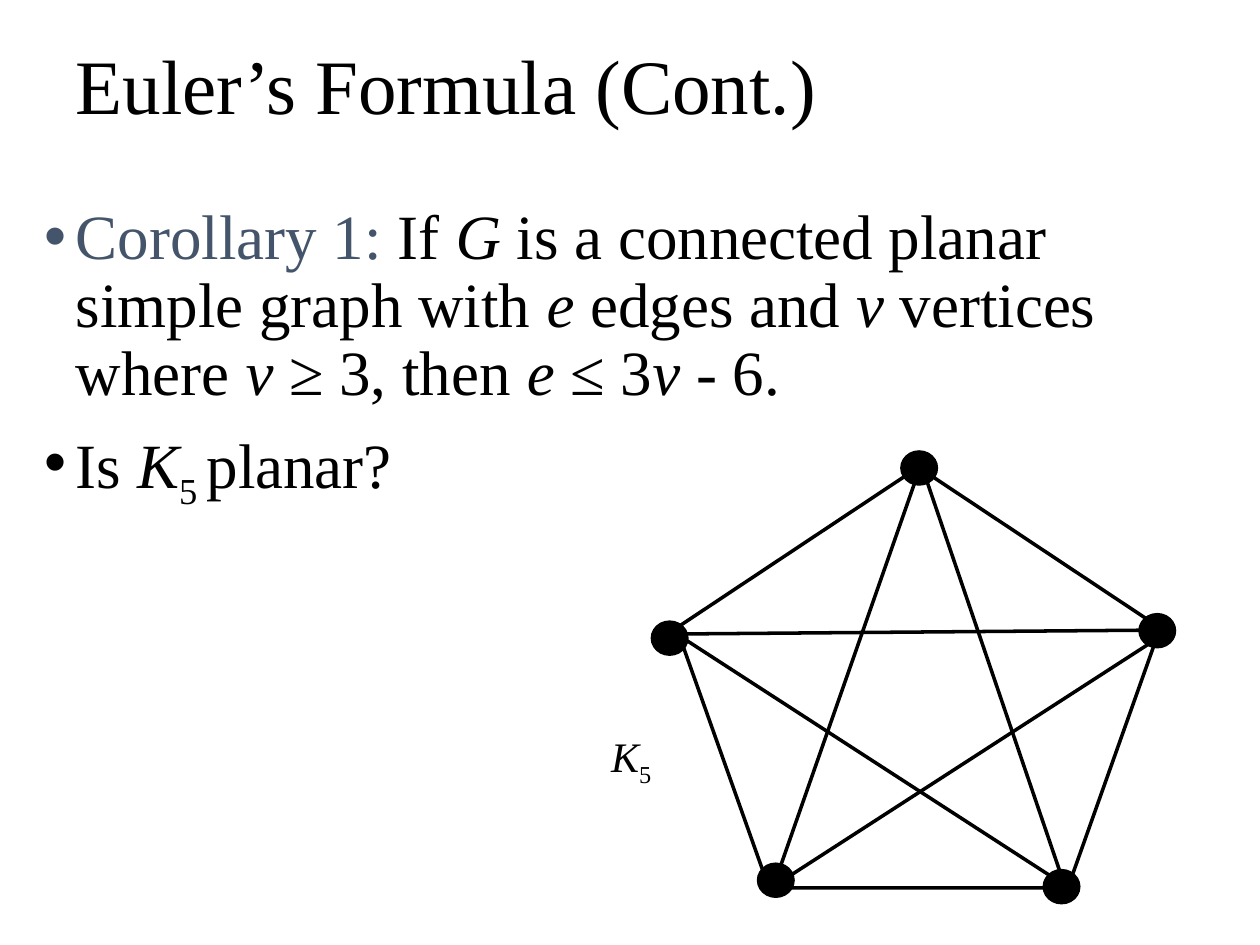
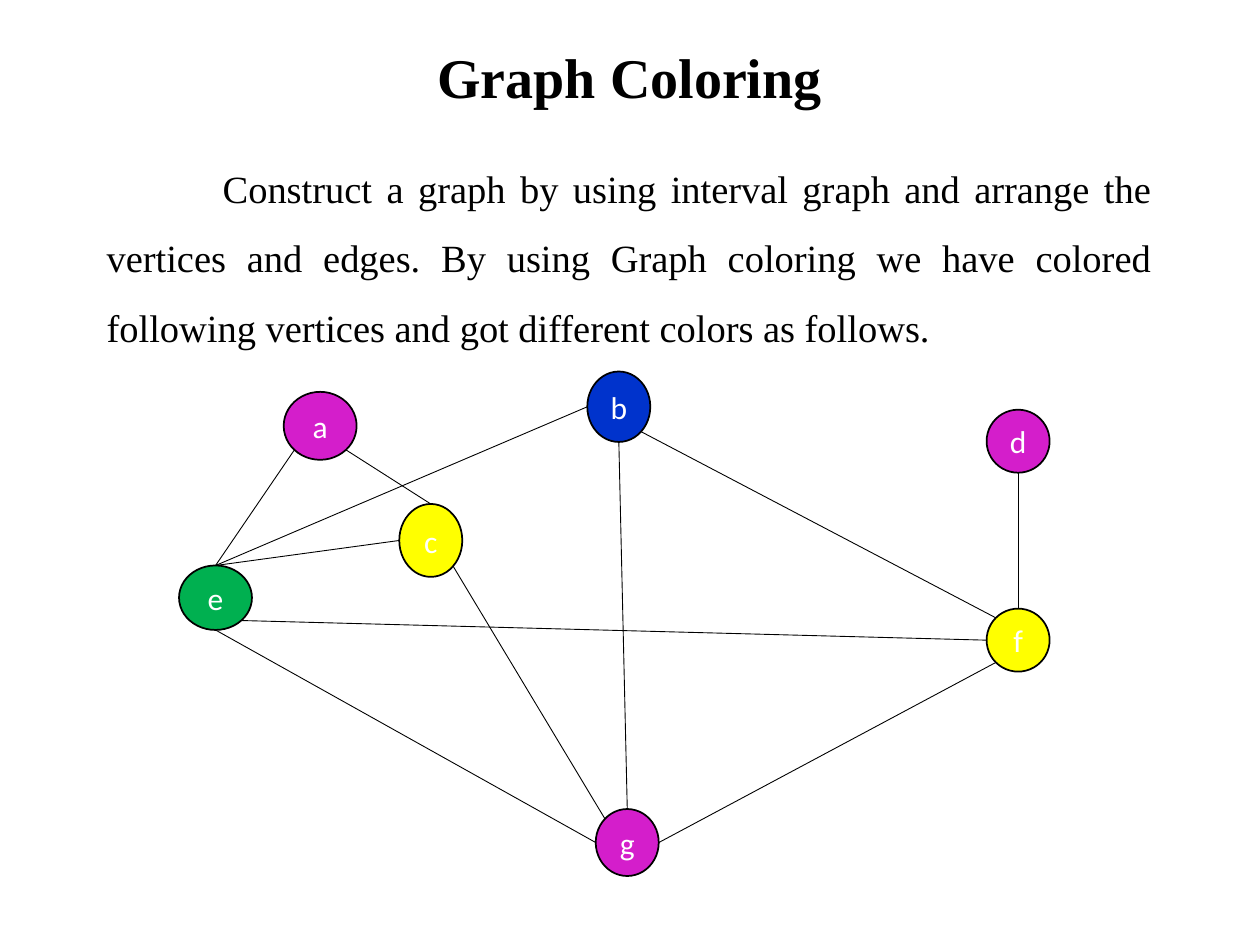
"""Build two slides on planar graphs and graph coloring."""
import math

import lxml.etree
import pptx
import pptx.dml.color
import pptx.enum.shapes
import pptx.enum.text
import pptx.oxml.ns
import pptx.util

Cm = pptx.util.Cm
Pt = pptx.util.Pt
SHAPE = pptx.enum.shapes.MSO_SHAPE
ALIGN = pptx.enum.text.PP_ALIGN
qn = pptx.oxml.ns.qn

COLORS = {
    "ink": "000000",
    "paper": "FFFFFF",
    "accent": "44546A",
    "magenta": "D41ECB",
    "green": "00B050",
    "yellow": "FFFF00",
    "blue": "0033CC",
}
SERIF = "Times New Roman"
SANS = "Calibri"
TITLE_ONLY = 5

K5_DOT_SIZE = (0.74, 0.69)
K5_DOTS = [(18.16, 9.09), (22.96, 12.37), (21.03, 17.53), (15.27, 17.4), (13.13, 12.52)]
K5_OUTLINE = (13.64, 9.42, 9.75, 8.48)
K5_DIAGONALS = [
    ((13.64, 12.78), (21.49, 17.86)),
    ((13.72, 12.78), (23.55, 12.7)),
    ((18.52, 9.5), (15.57, 17.93)),
    ((18.59, 9.42), (21.49, 17.93)),
    ((23.47, 12.78), (15.42, 17.98)),
]

COMPASS = ["E", "SE", "S", "SW", "W", "NW", "N", "NE"]
VERTICES = {
    "a": ((5.72, 7.9, 1.47, 1.37), "magenta"),
    "e": ((3.61, 11.4, 1.47, 1.3), "green"),
    "c": ((8.05, 10.16, 1.27, 1.47), "yellow"),
    "b": ((11.84, 7.49, 1.27, 1.42), "blue"),
    "g": ((12.01, 16.31, 1.27, 1.35), "magenta"),
    "d": ((19.89, 8.26, 1.27, 1.27), "magenta"),
    "f": ((19.89, 12.27, 1.27, 1.27), "yellow"),
}
EDGES = [
    ("a", "SW", "e", "N"),
    ("a", "SE", "c", "N"),
    ("e", "N", "c", "W"),
    ("e", "N", "b", "W"),
    ("e", "SE", "f", "W"),
    ("e", "S", "g", "W"),
    ("b", "S", "g", "N"),
    ("b", "SE", "f", "NW"),
    ("d", "S", "f", "N"),
    ("g", "E", "f", "SW"),
    ("c", "SE", "g", "NW"),
]

COROLLARY = [
    ("Corollary 1:", "accent"),
    (" If ", ""),
    ("G", "italic"),
    (" is a connected planar simple graph with ", ""),
    ("e", "italic"),
    (" edges and ", ""),
    ("v", "italic"),
    (" vertices where ", ""),
    ("v ", "italic"),
    ("≥ 3, then ", ""),
    ("e", "italic"),
    (" ≤ 3", ""),
    ("v", "italic"),
    (" - 6.", ""),
]
QUESTION = [("Is ", ""), ("K", "italic"), ("5 ", "subscript"), ("planar?", "")]
K5_NAME = [("K", "italic"), ("5", "subscript")]
COLORING_TEXT = (
    "Construct a graph by using interval graph and arrange the vertices and edges. "
    "By using Graph coloring we have colored following vertices and got different "
    "colors as follows."
)


def rgb(name):
    return pptx.dml.color.RGBColor.from_string(COLORS[name])


def style_font(font, size, face=SERIF, color="ink", bold=False):
    font.name = face
    font.size = Pt(size)
    font.bold = bold
    font.color.rgb = rgb(color)


def add_titled_slide(deck, title, box, size, align, bold=False):
    slide = deck.slides.add_slide(deck.slide_layouts[TITLE_ONLY])
    heading = slide.shapes.title
    heading.left, heading.top, heading.width, heading.height = map(Cm, box)
    heading.text_frame.text = title
    heading.text_frame.vertical_anchor = pptx.enum.text.MSO_ANCHOR.MIDDLE
    line = heading.text_frame.paragraphs[0]
    line.alignment = align
    line.line_spacing = 0.9
    style_font(line.font, size, bold=bold)
    return slide


def add_text_frame(slide, box):
    frame = slide.shapes.add_textbox(*map(Cm, box)).text_frame
    frame.word_wrap = True
    return frame


def indent(paragraph, margin, first_line):
    properties = paragraph._p.get_or_add_pPr()
    properties.set("marL", str(Cm(margin)))
    properties.set("indent", str(Cm(first_line)))
    return properties


def add_bullet(paragraph):
    properties = indent(paragraph, 0.64, -0.64)
    lxml.etree.SubElement(properties, qn("a:buFont"), typeface="Arial")
    lxml.etree.SubElement(properties, qn("a:buChar"), char="•")


def write_runs(paragraph, pieces, size):
    style_font(paragraph.font, size)
    for text, style in pieces:
        run = paragraph.add_run()
        run.text = text
        if style == "italic":
            run.font.italic = True
        elif style == "subscript":
            run._r.get_or_add_rPr().set("baseline", "-25000")
        elif style:
            run.font.color.rgb = rgb(style)


def add_outlined(slide, preset, box, fill, line_width):
    shape = slide.shapes.add_shape(preset, *map(Cm, box))
    shape.shadow.inherit = False
    if fill:
        shape.fill.solid()
        shape.fill.fore_color.rgb = rgb(fill)
    else:
        shape.fill.background()
    shape.line.color.rgb = rgb("ink")
    shape.line.width = Pt(line_width)
    return shape


def add_edge(slide, start, end, width):
    edge = slide.shapes.add_connector(
        pptx.enum.shapes.MSO_CONNECTOR.STRAIGHT, *map(Cm, (*start, *end))
    )
    edge.line.color.rgb = rgb("ink")
    edge.line.width = Pt(width)
    lxml.etree.SubElement(edge._element.spPr, qn("a:effectLst"))


def add_vertex(slide, name, box, color):
    vertex = add_outlined(slide, SHAPE.OVAL, box, color, 1)
    vertex.text_frame.text = name
    vertex.text_frame.vertical_anchor = pptx.enum.text.MSO_ANCHOR.MIDDLE
    label = vertex.text_frame.paragraphs[0]
    label.alignment = ALIGN.CENTER
    style_font(label.font, 18, SANS, "paper")


def rim_point(vertex, direction):
    (left, top, width, height), _ = VERTICES[vertex]
    angle = COMPASS.index(direction) * math.pi / 4
    return (
        left + width / 2 * (1 + math.cos(angle)),
        top + height / 2 * (1 + math.sin(angle)),
    )


def build_euler_slide(deck):
    slide = add_titled_slide(
        deck, "Euler’s Formula (Cont.)", (1.27, 0.43, 22.86, 2.74), 44, ALIGN.LEFT
    )
    statements = add_text_frame(slide, (0.64, 4.01, 23.93, 6.99))
    corollary = statements.paragraphs[0]
    question = statements.add_paragraph()
    for paragraph, pieces in ((corollary, COROLLARY), (question, QUESTION)):
        add_bullet(paragraph)
        paragraph.line_spacing = 0.9
        write_runs(paragraph, pieces, 36)
    question.space_before = Pt(10)

    add_outlined(slide, SHAPE.REGULAR_PENTAGON, K5_OUTLINE, None, 2)
    for start, end in K5_DIAGONALS:
        add_edge(slide, start, end, 2)
    for corner in K5_DOTS:
        add_outlined(slide, SHAPE.OVAL, (*corner, *K5_DOT_SIZE), "ink", 0.75)
    graph_name = add_text_frame(slide, (12.07, 14.61, 2.11, 1.27))
    write_runs(graph_name.paragraphs[0], K5_NAME, 24)


def build_coloring_slide(deck):
    slide = add_titled_slide(
        deck, "Graph Coloring", (1.75, 0.84, 21.89, 1.55), 32, ALIGN.CENTER, bold=True
    )
    explanation = add_text_frame(slide, (1.9, 2.74, 21.56, 4.11)).paragraphs[0]
    indent(explanation, 0, 2.34)
    explanation.alignment = ALIGN.JUSTIFY
    explanation.line_spacing = 1.5
    write_runs(explanation, [(COLORING_TEXT, "")], 22)

    for name, (box, color) in VERTICES.items():
        add_vertex(slide, name, box, color)
    for source, leaving, target, arriving in EDGES:
        add_edge(slide, rim_point(source, leaving), rim_point(target, arriving), 0.5)


def main():
    deck = pptx.Presentation()
    deck.slide_width = Cm(25.4)
    deck.slide_height = Cm(19.05)
    build_euler_slide(deck)
    build_coloring_slide(deck)
    deck.save("out.pptx")


if __name__ == "__main__":
    main()
